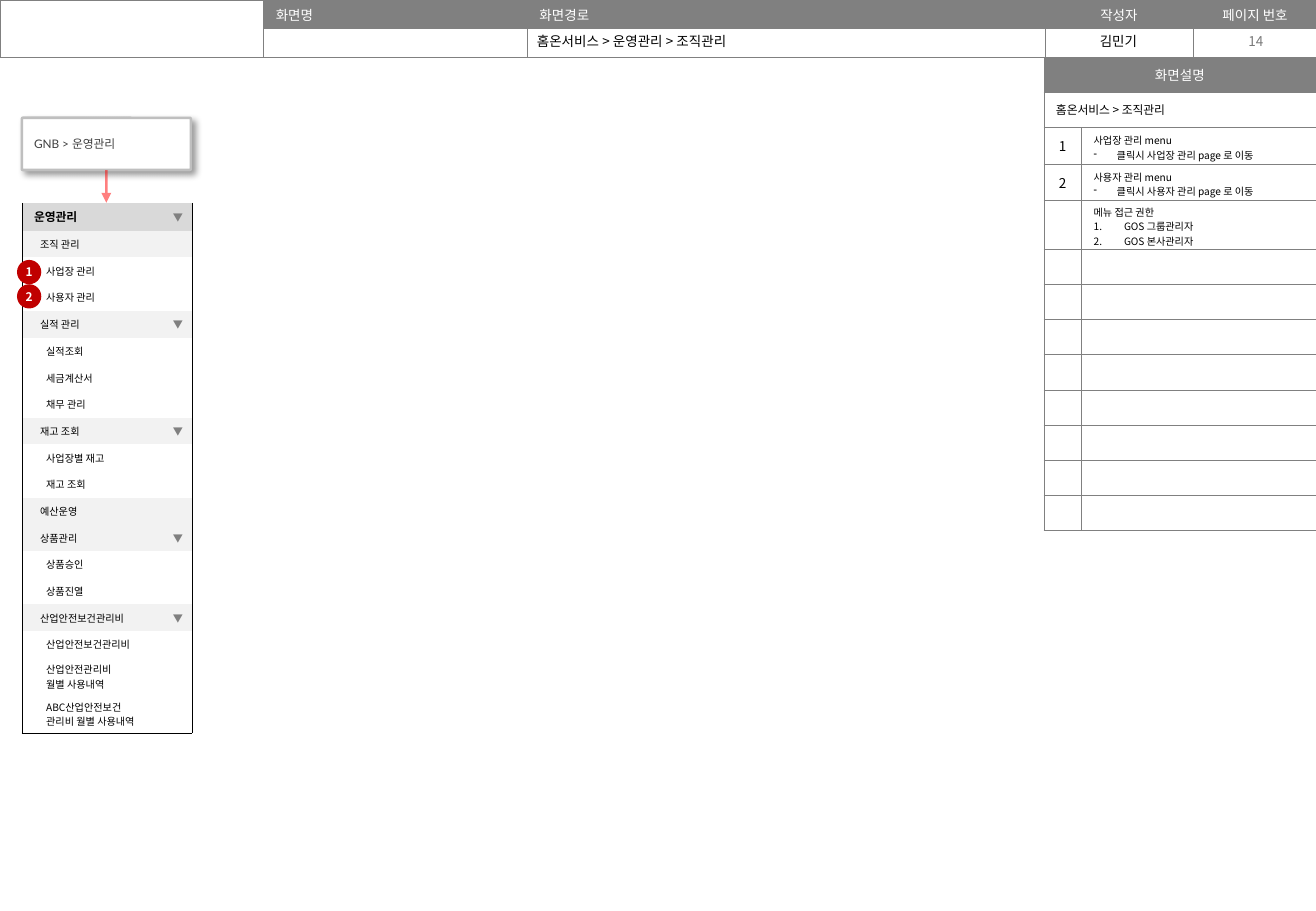
import pptx
import pptx.util
import pptx.dml.color
import pptx.enum.shapes
import pptx.enum.text
import pptx.oxml
import pptx.oxml.ns
from lxml import etree

Inches = pptx.util.Inches
Pt = pptx.util.Pt
qn = pptx.oxml.ns.qn
SHAPES = pptx.enum.shapes.MSO_SHAPE
LEFT = pptx.enum.text.PP_ALIGN.LEFT
CENTER = pptx.enum.text.PP_ALIGN.CENTER
MIDDLE = pptx.enum.text.MSO_ANCHOR.MIDDLE

KOREAN_FONT = "Noto Sans CJK KR"
PLAIN_STYLE = "{2D5ABB26-0587-4C30-8999-92F81FD0307C}"
COLORS = {
    "black": "000000", "white": "FFFFFF", "gray": "808080", "page": "797979",
    "menu": "D9D9D9", "group": "F2F2F2", "badge": "C00000",
    "entry": "404040", "entry_line": "BFBFBF", "arrow": "FF0000",
}

# Level, lines of the entry, whether it shows an unfolding mark
MENU = [
    (0, ["운영관리"], True),
    (1, ["조직 관리"], False),
    (2, ["사업장 관리"], False),
    (2, ["사용자 관리"], False),
    (1, ["실적 관리"], True),
    (2, ["실적조회"], False),
    (2, ["세금계산서"], False),
    (2, ["채무 관리"], False),
    (1, ["재고 조회"], True),
    (2, ["사업장별 재고"], False),
    (2, ["재고 조회"], False),
    (1, ["예산운영"], False),
    (1, ["상품관리"], True),
    (2, ["상품승인"], False),
    (2, ["상품진열"], False),
    (1, ["산업안전보건관리비"], True),
    (2, ["산업안전보건관리비"], False),
    (2, ["산업안전관리비", "월별 사용내역"], False),
    (2, ["ABC산업안전보건", "관리비 월별 사용내역"], False),
]
# Number, lines, bullet kind, row height
DESCRIPTIONS = [
    ("1", ["사업장 관리 menu", "클릭시 사업장 관리 page 로 이동"], "dash", 0.3),
    ("2", ["사용자 관리 menu", "클릭시 사용자 관리 page 로 이동"], "dash", 0.3),
    ("", ["메뉴 접근 권한", "GOS 그룹관리자", "GOS 본사관리자"], "number", 0.4),
] + [("", [], None, 0.29)] * 8


def rgb(name):
    return pptx.dml.color.RGBColor.from_string(COLORS[name])


def add_bullet(paragraph, kind):
    indent = Inches(0.19 if kind == "dash" else 0.25)
    properties = paragraph._p.get_or_add_pPr()
    properties.set("marL", str(indent))
    properties.set("indent", str(-indent))
    if kind == "dash":
        etree.SubElement(properties, qn("a:buChar"), char="-")
    else:
        etree.SubElement(properties, qn("a:buAutoNum"), type="arabicPeriod")


def write(frame, lines, size, color="black", align=LEFT, bold=False,
          font=KOREAN_FONT, bullet=None):
    """Fill a text frame; every line after the first takes the bullet."""
    for index, line in enumerate(lines):
        paragraph = frame.paragraphs[0] if index == 0 else frame.add_paragraph()
        paragraph.text = line
        paragraph.alignment = align
        if bullet and index:
            add_bullet(paragraph, bullet)
        paragraph.font.size = Pt(size)
        paragraph.font.bold = bold
        paragraph.font.color.rgb = rgb(color)
        paragraph.font.name = font
        defaults = paragraph._p.pPr.find(qn("a:defRPr"))
        etree.SubElement(defaults, qn("a:ea"), typeface=KOREAN_FONT)


def add_borders(cell, sides, color):
    properties = cell._tc.get_or_add_tcPr()
    for side in sides:
        line = etree.SubElement(properties, qn("a:ln" + side), w=str(Pt(0.25)))
        fill = etree.SubElement(line, qn("a:solidFill"))
        etree.SubElement(fill, qn("a:srgbClr"), val=COLORS[color])


def format_cell(cell, lines=(), size=6, fill="white", sides="LRTB", border="gray",
                left=0.1, right=0.1, top=0, bottom=0, **text):
    cell.margin_left, cell.margin_right = Inches(left), Inches(right)
    cell.margin_top, cell.margin_bottom = Inches(top), Inches(bottom)
    cell.vertical_anchor = MIDDLE
    add_borders(cell, sides, border)
    cell.fill.solid()
    cell.fill.fore_color.rgb = rgb(fill)
    if lines:
        write(cell.text_frame, lines, size, **text)
    else:
        paragraph = cell.text_frame.paragraphs[0]._p
        etree.SubElement(paragraph, qn("a:endParaRPr"), sz=str(size * 100))


def add_plain_table(slide, left, top, widths, heights):
    frame = slide.shapes.add_table(len(heights), len(widths), Inches(left), Inches(top),
                                   Inches(sum(widths)), Inches(sum(heights)))
    table = frame.table
    table.first_row = table.horz_banding = False
    frame._element.find(".//" + qn("a:tableStyleId")).text = PLAIN_STYLE
    for column, width in zip(table.columns, widths):
        column.width = Inches(width)
    for row, height in zip(table.rows, heights):
        row.height = Inches(height)
    return table


def add_label(slide, left, width, text, color="black", align=CENTER):
    box = slide.shapes.add_textbox(Inches(left), Inches(0.22), Inches(width), Inches(0.24))
    box.text_frame.word_wrap = True
    box.text_frame.vertical_anchor = MIDDLE
    write(box.text_frame, [text], 8, color, align)


def add_header(slide):
    table = add_plain_table(slide, 0, 0, [2.17, 2.17, 4.26, 1.22, 1.02], [0.235, 0.235])
    titles = ["", "화면명", "화면경로", "작성자", "페이지 번호"]
    for column, title in enumerate(titles):
        format_cell(table.cell(0, column), [title] if title else [], 8,
                    fill="gray" if title else "white", color="white",
                    align=CENTER if column > 2 else LEFT)
        format_cell(table.cell(1, column))
    table.cell(0, 0).merge(table.cell(1, 0))
    add_label(slide, 8.59, 1.23, "김민기")
    add_label(slide, 9.83, 1.01, "14", "page")
    add_label(slide, 4.32, 3.6, "홈온서비스 > 운영관리 > 조직관리", align=LEFT)


def add_descriptions(slide):
    heights = [0.29, 0.29] + [row[3] for row in DESCRIPTIONS]
    table = add_plain_table(slide, 8.59, 0.47, [0.31, 1.93], heights)
    format_cell(table.cell(0, 0), ["화면설명"], 8, fill="gray", color="white", align=CENTER)
    format_cell(table.cell(1, 0), ["홈온서비스 > 조직관리"], 7)
    for row in range(2):
        format_cell(table.cell(row, 1))
        table.cell(row, 0).merge(table.cell(row, 1))
    for row, (number, lines, bullet, _) in enumerate(DESCRIPTIONS, 2):
        format_cell(table.cell(row, 0), [number] if number else [], 8, align=CENTER)
        format_cell(table.cell(row, 1), lines, top=0.03, bullet=bullet)


def add_menu(slide):
    heights = [0.23] + [0.22 if len(lines) == 1 else 0.31 for _, lines, _ in MENU[1:]]
    table = add_plain_table(slide, 0.18, 1.67, [1.17, 0.23], heights)
    fills = ["menu", "group", "white"]
    for row, (level, lines, unfolds) in enumerate(MENU):
        bottom_side = "B" if row == len(MENU) - 1 else ""
        shared = {"fill": fills[level], "border": "black"}
        format_cell(table.cell(row, 0), lines, 6 if level else 7, sides="L" + bottom_side,
                    left=0.1 + 0.05 * level, right=0, bold=level == 0, **shared)
        format_cell(table.cell(row, 1), ["▼"] if unfolds else [], sides="R" + bottom_side,
                    left=0.03, right=0.03, color="gray", align=CENTER, **shared)


def add_box(slide, left, top, width, height, corner, fill):
    box = slide.shapes.add_shape(SHAPES.ROUNDED_RECTANGLE, Inches(left), Inches(top),
                                 Inches(width), Inches(height))
    box.adjustments[0] = corner
    box.shadow.inherit = False
    box.fill.solid()
    box.fill.fore_color.rgb = rgb(fill)
    box.line.fill.background()
    box.text_frame.vertical_anchor = MIDDLE
    return box


def add_badge(slide, top, number):
    frame = add_box(slide, 0.14, top, 0.2, 0.2, 0.5, "badge").text_frame
    frame.margin_left = frame.margin_right = frame.margin_top = frame.margin_bottom = 0
    write(frame, [number], 7, "white", CENTER, bold=True)


def add_entry(slide):
    """Entry box with a soft shadow and the arrow down to the menu."""
    box = add_box(slide, 0.18, 0.97, 1.39, 0.43, 0.02, "white")
    box.line.color.rgb = rgb("entry_line")
    box.line.width = Pt(1.5)
    effects = box._element.spPr.find(qn("a:effectLst"))
    shadow = etree.SubElement(effects, qn("a:outerShdw"), blurRad=str(Pt(4)),
                              dist=str(Pt(3)), dir=str(45 * 60000), algn="tl")
    tint = etree.SubElement(shadow, qn("a:srgbClr"), val=COLORS["black"])
    etree.SubElement(tint, qn("a:alpha"), val="40000")
    write(box.text_frame, ["GNB > 운영관리"], 7, "entry", font="Lato")

    middle = box.left + box.width // 2
    arrow = slide.shapes.add_connector(pptx.enum.shapes.MSO_CONNECTOR.STRAIGHT, middle,
                                       box.top + box.height, middle, Inches(1.67))
    arrow.begin_connect(box, 2)
    arrow.line.color.rgb = rgb("arrow")
    arrow.line.width = Pt(1.5)
    line = arrow.line._get_or_add_ln()
    etree.SubElement(line.find(".//" + qn("a:srgbClr")), qn("a:alpha"), val="50000")
    etree.SubElement(line, qn("a:tailEnd"), type="triangle")
    etree.SubElement(arrow._element.spPr, qn("a:effectLst"))


def main():
    presentation = pptx.Presentation()
    presentation.slide_width, presentation.slide_height = Inches(10.83), Inches(7.5)
    slide = presentation.slides.add_slide(presentation.slide_layouts[6])
    add_header(slide)
    add_descriptions(slide)
    add_menu(slide)
    add_entry(slide)
    add_badge(slide, 2.14, "1")
    add_badge(slide, 2.34, "2")
    presentation.save("out.pptx")


if __name__ == "__main__":
    main()
